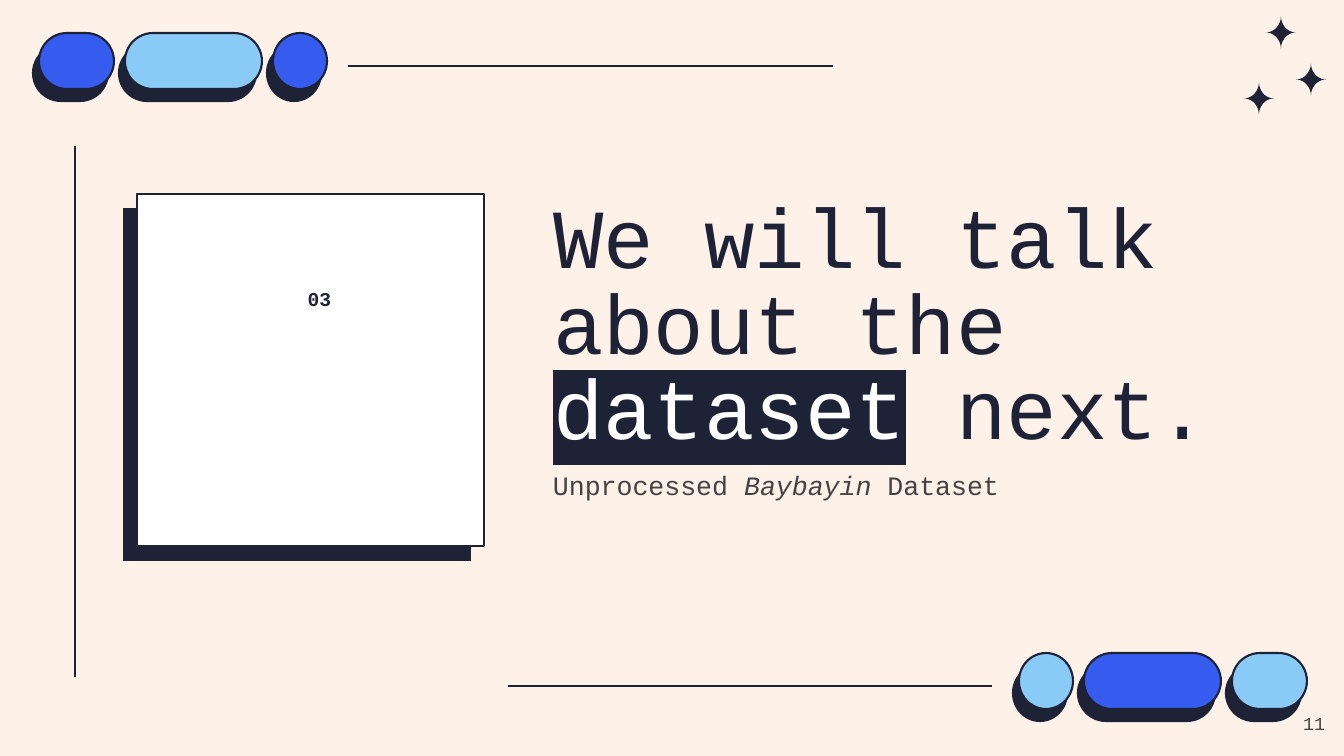
from math import copysign, cos, pi, sin

from lxml.etree import SubElement
from pptx import Presentation
from pptx.dml.color import RGBColor
from pptx.enum.shapes import MSO_CONNECTOR, MSO_SHAPE
from pptx.enum.text import MSO_ANCHOR, MSO_AUTO_SIZE, PP_ALIGN
from pptx.oxml.ns import qn
from pptx.util import Pt

PAGE_WIDTH, PAGE_HEIGHT = 1344, 756
EMU_PER_PX = 12192000 / PAGE_WIDTH
INK, CREAM, WHITE, GREY = "1D2236", "FEF1E8", "FFFFFF", "434343"
BLUE, SKY = "365CEF", "8ACAF6"
FONT = "Courier New"


def px(length):
    return round(length * EMU_PER_PX)


def colour(hex_string):
    return RGBColor.from_string(hex_string)


def paint(shape, fill, line_width):
    shape.shadow.inherit = False
    shape.fill.solid()
    shape.fill.fore_color.rgb = colour(fill)
    if line_width:
        shape.line.color.rgb = colour(INK)
        shape.line.width = Pt(line_width)
    else:
        shape.line.fill.background()


def add_block(page, kind, box, fill, line_width=1.5):
    block = page.shapes.add_shape(kind, *map(px, box))
    paint(block, fill, line_width)
    if kind == MSO_SHAPE.ROUNDED_RECTANGLE:
        block.adjustments[0] = 0.5


def add_rule(page, start, end):
    rule = page.shapes.add_connector(MSO_CONNECTOR.STRAIGHT, *map(px, start + end))
    rule.line.color.rgb = colour(INK)
    rule.line.width = Pt(1.5)
    SubElement(rule._element.spPr, qn("a:effectLst"))


def add_star(page, left, top, width=30, height=33):
    points = []
    for step in range(48):
        angle = step * pi / 24
        across = copysign(1 - abs(sin(angle)), cos(angle))
        down = copysign(1 - abs(cos(angle)), sin(angle))
        points.append((px(left + width / 2 * (1 + across)),
                       px(top + height / 2 * (1 + down))))
    builder = page.shapes.build_freeform(*points[0])
    builder.add_line_segments(points[1:], close=True)
    paint(builder.convert_to_shape(), INK, 0)


def add_pills(page, left, top, pills):
    height, gap = 56, 11
    for kind, width, fill in pills:
        add_block(page, kind, (left - 6, top + 12, width, height), INK)
        add_block(page, kind, (left, top, width, height), fill)
        left += width + gap


def write_text(holder, box, spans, size, ink, inset=13, font=None, **layout):
    holder.left, holder.top, holder.width, holder.height = map(px, box)
    frame = holder.text_frame
    frame_format = {
        "word_wrap": True,
        "auto_size": MSO_AUTO_SIZE.NONE,
        "vertical_anchor": MSO_ANCHOR.TOP,
        "margin_left": px(inset),
        "margin_right": px(inset),
        "margin_top": px(inset),
        "margin_bottom": px(inset),
    }
    for name, value in frame_format.items():
        setattr(frame, name, value)
    para = frame.paragraphs[0]
    for name, value in ({"alignment": PP_ALIGN.LEFT} | layout).items():
        setattr(para, name, value)
    for text, changes in spans:
        span = para.add_run()
        span.text = text
        span_format = {"name": FONT, "size": Pt(size)} | (font or {}) | changes
        span_ink = span_format.pop("ink", ink)
        highlight = span_format.pop("highlight", None)
        for name, value in span_format.items():
            setattr(span.font, name, value)
        span.font.color.rgb = colour(span_ink)
        if highlight:
            properties = span.font._element
            mark = SubElement(properties, qn("a:highlight"))
            SubElement(mark, qn("a:srgbClr")).set("val", highlight)
            properties.find(qn("a:solidFill")).addnext(mark)


def add_text(page, box, spans, size, ink, **options):
    holder = page.shapes.add_textbox(*map(px, box))
    write_text(holder, box, spans, size, ink, **options)


def add_decoration(page, width, height):
    oval, pill = MSO_SHAPE.OVAL, MSO_SHAPE.ROUNDED_RECTANGLE
    add_pills(page, 39, 33, [(pill, 75, BLUE), (pill, 137, SKY), (oval, 54, BLUE)])
    add_pills(page, width - 325, height - 103,
              [(oval, 54, SKY), (pill, 137, BLUE), (pill, 75, SKY)])
    for start, end in [((75, 677), (75, 146)),
                       ((348, 66), (833, 66)),
                       ((992, 686), (508, 686))]:
        add_rule(page, start, end)
    for left, top in [(1244, 82), (1266, 16), (1296, 63)]:
        add_star(page, left, top)


def add_number_card(page, left, top, width, height):
    add_block(page, MSO_SHAPE.RECTANGLE, (left - 13, top + 15, width, height), INK, 0.75)
    add_block(page, MSO_SHAPE.RECTANGLE, (left, top, width, height), WHITE)
    add_text(page, (left + 43, top + 88, 279, 192), [("03", {})], 14, INK,
             inset=5, font={"bold": True}, alignment=PP_ALIGN.CENTER)


def add_message(page, left, top, width):
    write_text(
        page.shapes.title, (left, top, width, 228),
        [("We will talk about the ", {}),
         ("dataset", {"ink": WHITE, "highlight": INK}),
         (" next.", {})],
        60, INK, line_spacing=0.85)
    add_text(
        page, (left, top + 264, width, 84),
        [("Unprocessed ", {}), ("Baybayin ", {"italic": True}), ("Dataset", {})],
        19, GREY, line_spacing=1.15)


def main():
    deck = Presentation()
    deck.slide_width, deck.slide_height = px(PAGE_WIDTH), px(PAGE_HEIGHT)
    page = deck.slides.add_slide(deck.slide_layouts[5])
    page.background.fill.solid()
    page.background.fill.fore_color.rgb = colour(CREAM)
    add_decoration(page, PAGE_WIDTH, PAGE_HEIGHT)
    add_message(page, 540, 187, 698)
    add_text(page, (1258, 699, 80, 57), [("11", {})], 13, GREY,
             alignment=PP_ALIGN.RIGHT)
    add_number_card(page, 137, 194, 347, 352)
    deck.save("out.pptx")


if __name__ == "__main__":
    main()
